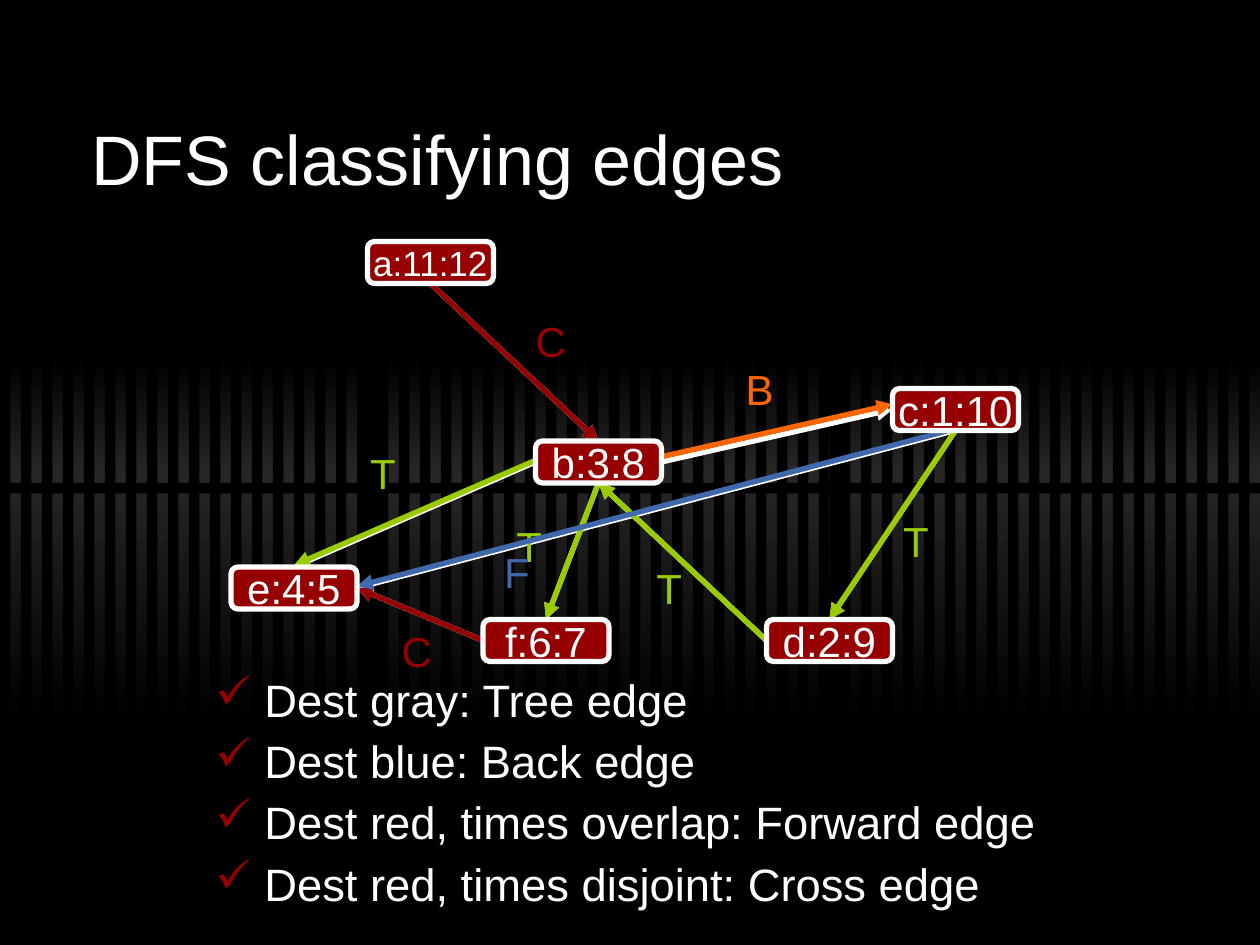
import collections

import pptx
import pptx.dml.color
import pptx.enum.shapes
import pptx.enum.text
import pptx.oxml.ns
import pptx.util
from lxml import etree

Pt = pptx.util.Pt
RGBColor = pptx.dml.color.RGBColor
MSO_SHAPE = pptx.enum.shapes.MSO_SHAPE
MSO_ANCHOR = pptx.enum.text.MSO_ANCHOR
PP_ALIGN = pptx.enum.text.PP_ALIGN
qn = pptx.oxml.ns.qn

BLACK = RGBColor(0x00, 0x00, 0x00)
CHARCOAL = RGBColor(0x26, 0x26, 0x26)
WHITE = RGBColor(0xFF, 0xFF, 0xFF)
RED = RGBColor(0x96, 0x00, 0x00)
GREEN = RGBColor(0x99, 0xCC, 0x00)
ORANGE = RGBColor(0xFF, 0x66, 0x00)
BLUE = RGBColor(0x40, 0x68, 0xAC)

FONT = "Arial"
NODE_WIDTH, NODE_HEIGHT = 72, 24
EDGE_COLORS = {"T": GREEN, "B": ORANGE, "F": BLUE, "C": RED}

Box = collections.namedtuple("Box", "left top width height")
Node = collections.namedtuple("Node", "text left top size")
Edge = collections.namedtuple("Edge", "start start_side end end_side kind label_at lift")

NODES = {
    "a": Node("a:11:12", 78, 0, 20),
    "b": Node("b:3:8", 174, 114, 24),
    "c": Node("c:1:10", 378, 84, 24),
    "d": Node("d:2:9", 306, 216, 24),
    "e": Node("e:4:5", 0, 186, 24),
    "f": Node("f:6:7", 144, 216, 24),
}
# lift raises a coloured edge above its white base line
EDGES = [
    Edge("c", "bottom", "d", "top", "T", (377, 153), 0),
    Edge("d", "left", "b", "bottom", "T", (236, 180), 0),
    Edge("b", "left", "e", "top", "T", (72.5, 114), 1),
    Edge("b", "bottom", "f", "top", "T", (156, 156), 0),
    Edge("f", "left", "e", "right", "C", (90.5, 216), 0),
    Edge("b", "right", "c", "left", "B", (287, 66), 3),
    Edge("c", "bottom", "e", "right", "F", (149, 171), 1),
    Edge("a", "bottom", "b", "top", "C", (167, 39), 0),
]
SIDES = {"top": (0.5, 0), "bottom": (0.5, 1), "left": (0, 0.5), "right": (1, 0.5)}

RULES = [
    "Dest gray: Tree edge",
    "Dest blue: Back edge",
    "Dest red, times overlap: Forward edge",
    "Dest red, times disjoint: Cross edge",
]


def add_run(paragraph, text, size, color):
    run = paragraph.add_run()
    run.text = text
    run.font.name = FONT
    run.font.size = Pt(size)
    run.font.color.rgb = color


def add_band(shapes, left, top, width, height):
    band = shapes.add_shape(MSO_SHAPE.RECTANGLE, Pt(left), Pt(top), Pt(width), Pt(height))
    band.shadow.inherit = False
    band.line.fill.background()
    band.fill.solid()
    band.fill.fore_color.rgb = BLACK
    return band


def add_backdrop(slide, box):
    """Two glowing bands cut by black stripes and a horizontal gap."""
    shapes = slide.shapes.add_group_shape().shapes
    horizon = box.top + 90
    for top, height, colors in (
        (box.top + 24, 66, (BLACK, CHARCOAL)),
        (horizon, 144, (CHARCOAL, BLACK)),
    ):
        fill = add_band(shapes, box.left, top, box.width, height).fill
        fill.gradient()
        fill.gradient_angle = 270
        for stop, color, position in zip(fill.gradient_stops, colors, (0, 1)):
            stop.color.rgb = color
            stop.position = position

    pitch = 12
    wide_stripes = {17: 204, 40: 474}
    for index in range(int(box.width / pitch)):
        left = wide_stripes.get(index, index * pitch)
        width = pitch if index in wide_stripes else pitch / 2
        add_band(shapes, box.left + left, box.top, width, box.height)
    add_band(shapes, box.left, horizon + 6, box.width, 6)


def add_title(slide, box):
    title = slide.shapes.title
    title.left, title.top, title.width, title.height = map(Pt, box)
    title.text_frame.vertical_anchor = MSO_ANCHOR.MIDDLE
    heading = title.text_frame.paragraphs[0]
    heading.alignment = PP_ALIGN.LEFT
    add_run(heading, "DFS classifying edges", 40, WHITE)


def add_arrow(slide, start, end, color):
    arrow = slide.shapes.add_connector(
        pptx.enum.shapes.MSO_CONNECTOR.STRAIGHT, *map(Pt, start + end))
    arrow.line.color.rgb = color
    arrow.line.width = Pt(3)
    etree.SubElement(arrow.line._get_or_add_ln(), qn("a:tailEnd"), type="triangle")
    etree.SubElement(arrow._element.spPr, qn("a:effectLst"))


def add_node(slide, node, box):
    shape = slide.shapes.add_shape(
        MSO_SHAPE.ROUNDED_RECTANGLE, Pt(box.left + node.left), Pt(box.top + node.top),
        Pt(NODE_WIDTH), Pt(NODE_HEIGHT))
    shape.shadow.inherit = False
    shape.fill.solid()
    shape.fill.fore_color.rgb = RED
    shape.line.color.rgb = WHITE
    shape.line.width = Pt(3)
    frame = shape.text_frame
    frame.word_wrap = False
    frame.vertical_anchor = MSO_ANCHOR.MIDDLE
    frame.paragraphs[0].alignment = PP_ALIGN.CENTER
    add_run(frame.paragraphs[0], node.text, node.size, WHITE)


def add_graph(slide, box):
    def anchor(name, side, lift=0):
        """Point on the middle of one side of a node."""
        across, down = SIDES[side]
        return (box.left + NODES[name].left + across * NODE_WIDTH,
                box.top + NODES[name].top + down * NODE_HEIGHT - lift)

    for edge in EDGES:
        add_arrow(slide, anchor(edge.start, edge.start_side),
                  anchor(edge.end, edge.end_side), WHITE)
    for edge in EDGES:
        color = EDGE_COLORS[edge.kind]
        add_arrow(slide, anchor(edge.start, edge.start_side, edge.lift),
                  anchor(edge.end, edge.end_side, edge.lift), color)
        left, top = edge.label_at
        label = slide.shapes.add_textbox(
            Pt(box.left + left), Pt(box.top + top), Pt(30), Pt(36))
        label.text_frame.word_wrap = False
        add_run(label.text_frame.paragraphs[0], edge.kind, 24, color)
    for node in NODES.values():
        add_node(slide, node, box)


def add_rules(slide, box):
    frame = slide.shapes.add_textbox(*map(Pt, box)).text_frame
    frame.word_wrap = True
    for index, rule in enumerate(RULES):
        paragraph = frame.add_paragraph() if index else frame.paragraphs[0]
        paragraph.line_spacing = 0.9
        paragraph.space_before = Pt(7)
        properties = paragraph._p.get_or_add_pPr()
        properties.set("marL", str(Pt(36)))
        properties.set("indent", str(Pt(-28)))
        bullet_color = etree.SubElement(properties, qn("a:buClr"))
        etree.SubElement(bullet_color, qn("a:srgbClr"), val=str(RED))
        etree.SubElement(properties, qn("a:buChar"), char="✓")
        add_run(paragraph, rule, 25.9, WHITE)


def main():
    deck = pptx.Presentation()
    deck.slide_width, deck.slide_height = Pt(720), Pt(540)
    slide = deck.slides.add_slide(deck.slide_layouts.get_by_name("Title Only"))
    slide.background.fill.solid()
    slide.background.fill.fore_color.rgb = BLACK
    add_backdrop(slide, Box(0, 180, 720, 282))
    add_title(slide, Box(45, 54, 630, 72))
    add_rules(slide, Box(108, 384, 540, 156))
    add_graph(slide, Box(132, 138, 450, 240))
    deck.save("out.pptx")


if __name__ == "__main__":
    main()
